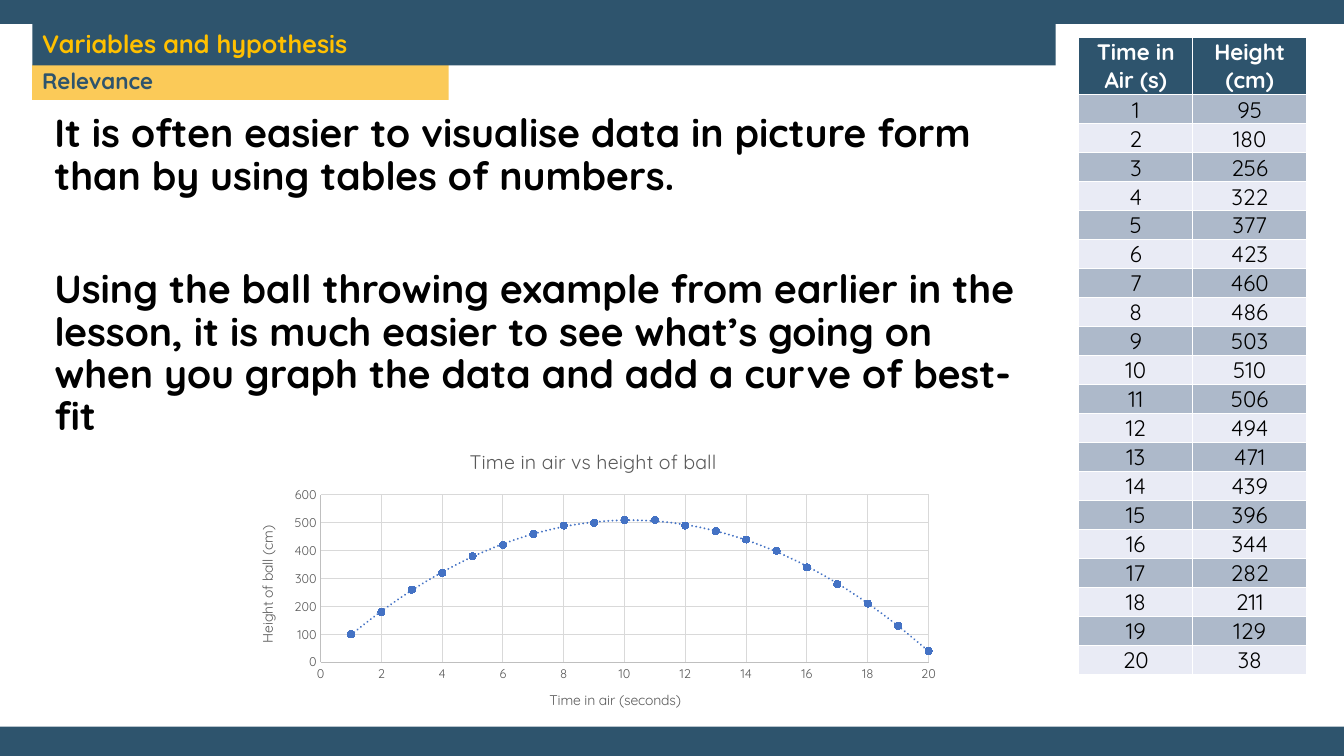
from dataclasses import dataclass

from pptx import Presentation
from pptx.chart.data import XyChartData
from pptx.dml.color import RGBColor
from pptx.enum.chart import XL_CHART_TYPE, XL_MARKER_STYLE, XL_TICK_MARK
from pptx.enum.shapes import MSO_SHAPE
from pptx.enum.text import MSO_ANCHOR, PP_ALIGN
from pptx.oxml import parse_xml
from pptx.oxml.ns import nsdecls, qn
from pptx.util import Inches, Pt

RECTANGLE = MSO_SHAPE.RECTANGLE
MIDDLE = MSO_ANCHOR.MIDDLE
LEFT, CENTER = PP_ALIGN.LEFT, PP_ALIGN.CENTER
SCATTER = XL_CHART_TYPE.XY_SCATTER
CIRCLE = XL_MARKER_STYLE.CIRCLE
NO_TICK = XL_TICK_MARK.NONE


@dataclass(frozen=True)
class Theme:
    """Colours, typeface and type sizes of the slide."""
    face: str = "Quicksand"
    navy: str = "2E546D"
    amber: str = "FBCA58"
    gold: str = "FFC000"
    white: str = "FFFFFF"
    black: str = "000000"
    row_odd: str = "ADB9CA"
    row_even: str = "E9EBF5"
    series: str = "4472C4"
    grey: str = "595959"
    axis: str = "BFBFBF"
    grid: str = "D9D9D9"
    body: float = 28
    heading: float = 18
    label: float = 16
    chart_title: float = 14
    axis_title: float = 10
    tick: float = 9


THEME = Theme()
CHART_WIDTH, CHART_HEIGHT = 7.07, 2.98
HEADER_HEIGHT, READINGS_HEIGHT = 0.57, 5.75
HEIGHTS = [95, 180, 256, 322, 377, 423, 460, 486, 503, 510,
           506, 494, 471, 439, 396, 344, 282, 211, 129, 38]
MESSAGES = [
    "It is often easier to visualise data in picture form than by using tables of numbers.",
    "Using the ball throwing example from earlier in the lesson, it is much easier to see "
    "what’s going on when you graph the data and add a curve of best-fit",
]


def style_font(font, size, color, bold=False):
    """Apply the slide typeface with a size, colour and weight."""
    font.name = THEME.face
    font.size = Pt(size)
    font.bold = bold
    font.color.rgb = RGBColor.from_string(color)


def add_band(slide, left, top, width, height, fill, text="", size=THEME.label, color=THEME.navy):
    """Add a plain filled rectangle, with a bold label if one is given."""
    band = slide.shapes.add_shape(
        RECTANGLE, Inches(left), Inches(top), Inches(width), Inches(height))
    band.shadow.inherit = False
    band.fill.solid()
    band.fill.fore_color.rgb = RGBColor.from_string(fill)
    band.line.fill.background()
    if text:
        band.text_frame.vertical_anchor = MIDDLE
        label = band.text_frame.paragraphs[0]
        label.text = text
        label.alignment = LEFT
        label.line_spacing = 0.9
        style_font(label.font, size, color, bold=True)


def add_messages(slide, messages):
    """Add the main statements as widely separated paragraphs."""
    frame = slide.shapes.add_textbox(
        Inches(0.44), Inches(1.08), Inches(9.93), Inches(4.96)).text_frame
    frame.word_wrap = True
    for index, message in enumerate(messages):
        statement = frame.add_paragraph() if index else frame.paragraphs[0]
        statement.text = message
        statement.line_spacing = 0.9
        statement.space_before = Pt(51 if index else 0)
        style_font(statement.font, THEME.body, THEME.black, bold=True)


def fill_cell(cell, text, fill, color, bold):
    """Write one centred table cell."""
    cell.margin_left = cell.margin_right = cell.margin_top = Inches(0.01)
    cell.margin_bottom = 0
    cell.vertical_anchor = MIDDLE
    cell.fill.solid()
    cell.fill.fore_color.rgb = RGBColor.from_string(fill)
    entry = cell.text_frame.paragraphs[0]
    entry.text = text
    entry.alignment = CENTER
    style_font(entry.font, THEME.label, color, bold)


def add_readings_table(slide, heights):
    """Add the table of time in air against height."""
    rows = [("Time in Air (s)", "Height (cm)"), *enumerate(heights, start=1)]
    table = slide.shapes.add_table(
        len(rows), 2, Inches(10.7), Inches(0.37), Inches(2.26),
        Inches(HEADER_HEIGHT + READINGS_HEIGHT)).table
    for index, row in enumerate(rows):
        is_header = index == 0
        table.rows[index].height = Inches(
            HEADER_HEIGHT if is_header else READINGS_HEIGHT / len(heights))
        band = THEME.row_odd if index % 2 else THEME.row_even
        for column, value in enumerate(row):
            fill_cell(table.cell(index, column), str(value),
                      THEME.navy if is_header else band,
                      THEME.white if is_header else THEME.black, is_header)


def set_title(titled, text, size):
    """Give a chart or an axis a grey title."""
    titled.has_title = True
    frame = (titled.chart_title if hasattr(titled, "chart_title") else titled.axis_title).text_frame
    frame.text = text
    style_font(frame.paragraphs[0].font, size, THEME.grey)


def style_axis(axis, title, maximum, step):
    """Set the scale, gridlines and labels of one axis."""
    axis.minimum_scale, axis.maximum_scale, axis.major_unit = 0, maximum, step
    axis.major_tick_mark = axis.minor_tick_mark = NO_TICK
    axis.has_major_gridlines = True
    for line, color in ((axis.format.line, THEME.axis),
                        (axis.major_gridlines.format.line, THEME.grid)):
        line.width = Pt(0.75)
        line.color.rgb = RGBColor.from_string(color)
    style_font(axis.tick_labels.font, THEME.tick, THEME.grey)
    set_title(axis, title, THEME.axis_title)


def add_best_fit(series):
    """Add a dotted quadratic curve of best fit."""
    series._element.find(qn("c:xVal")).addprevious(parse_xml(
        f'<c:trendline {nsdecls("c", "a")}><c:spPr><a:ln w="{Pt(1.5)}" cap="rnd"><a:solidFill>'
        f'<a:srgbClr val="{THEME.series}"/></a:solidFill><a:prstDash val="sysDot"/></a:ln></c:spPr>'
        '<c:trendlineType val="poly"/><c:order val="2"/>'
        '<c:dispRSqr val="0"/><c:dispEq val="0"/></c:trendline>'))


def place_plot(chart, left, top, width, height):
    """Fix the inner plot area, given in inches within the chart."""
    plot_area = chart._chartSpace.find(".//" + qn("c:plotArea"))
    for layout in plot_area.findall(qn("c:layout")):
        plot_area.remove(layout)
    shares = {"x": left / CHART_WIDTH, "y": top / CHART_HEIGHT,
              "w": width / CHART_WIDTH, "h": height / CHART_HEIGHT}
    edges = "".join(f'<c:{tag} val="{share:.4f}"/>' for tag, share in shares.items())
    plot_area.insert(0, parse_xml(
        f'<c:layout {nsdecls("c")}><c:manualLayout><c:layoutTarget val="inner"/>'
        f'<c:xMode val="edge"/><c:yMode val="edge"/>{edges}</c:manualLayout></c:layout>'))


def add_height_chart(slide, heights):
    """Add the scatter chart of the ball's flight, to the nearest 10 cm."""
    data = XyChartData()
    readings = data.add_series("Series 1")
    for time, height in enumerate(heights, start=1):
        readings.add_data_point(time, round(height, -1))
    chart = slide.shapes.add_chart(
        SCATTER, Inches(2.35), Inches(4.29),
        Inches(CHART_WIDTH), Inches(CHART_HEIGHT), data).chart
    chart.has_legend = False
    style_font(chart.font, THEME.axis_title, THEME.black)
    set_title(chart, "Time in air vs height of ball", THEME.chart_title)
    style_axis(chart.category_axis, "Time in air (seconds)", 20, 2)
    style_axis(chart.value_axis, "Height of ball (cm)", 600, 100)
    chart.plots[0].vary_by_categories = False
    series = chart.plots[0].series[0]
    series.smooth = False
    series.format.line.fill.background()
    series.marker.style, series.marker.size = CIRCLE, 5
    series.marker.format.fill.solid()
    series.marker.format.fill.fore_color.rgb = RGBColor.from_string(THEME.series)
    series.marker.format.line.color.rgb = RGBColor.from_string(THEME.series)
    add_best_fit(series)
    place_plot(chart, 0.83, 0.62, 6.03, 1.66)


def main():
    """Build the slide and save it."""
    deck = Presentation()
    deck.slide_width, deck.slide_height = Inches(13.33), Inches(7.5)
    slide = deck.slides.add_slide(deck.slide_layouts[6])
    add_band(slide, 0, 0, 13.33, 7.5, THEME.navy)
    add_band(slide, 0, 0.24, 13.33, 6.97, THEME.white)
    add_band(slide, 0.32, 0.64, 4.13, 0.35, THEME.amber, "Relevance")
    add_band(slide, 0.32, 0.24, 10.15, 0.41, THEME.navy,
             "Variables and hypothesis", THEME.heading, THEME.gold)
    add_messages(slide, MESSAGES)
    add_readings_table(slide, HEIGHTS)
    add_height_chart(slide, HEIGHTS)
    deck.save("out.pptx")


if __name__ == "__main__":
    main()
